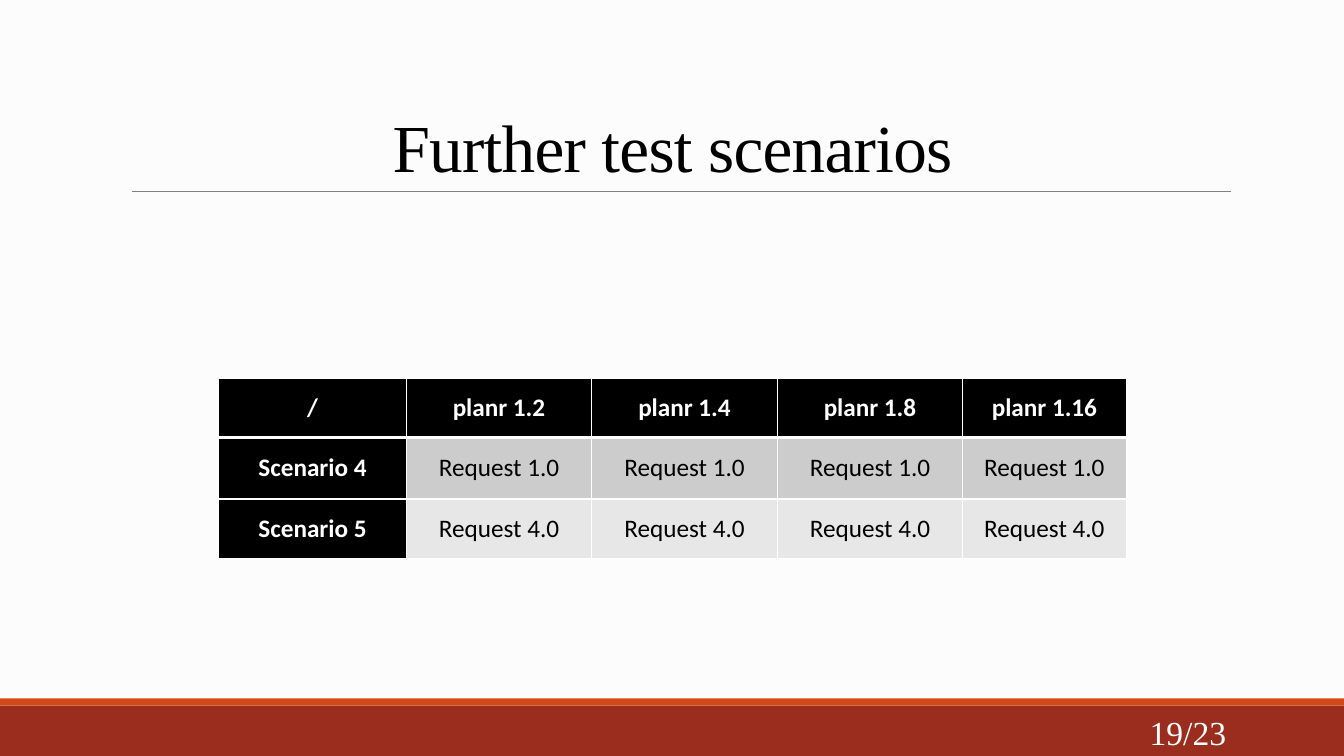
from lxml import etree
from pptx import Presentation
from pptx import util as u
from pptx.dml.color import RGBColor
from pptx.enum import shapes, text
from pptx.oxml import ns

BACKGROUND = RGBColor(0xFC, 0xFC, 0xFC)
BLACK = RGBColor(0, 0, 0)
WHITE = RGBColor(0xFF, 0xFF, 0xFF)
DARK_RED = RGBColor(0x9B, 0x2D, 0x1F)
ORANGE = RGBColor(0xD3, 0x48, 0x17)
GREY = RGBColor(0x80, 0x80, 0x80)
DARK_BAND = RGBColor(0xCC, 0xCC, 0xCC)
LIGHT_BAND = RGBColor(0xE7, 0xE7, 0xE7)

COLUMN_WIDTHS = [1.86, 1.84, 1.84, 1.84, 1.62]
ROW_HEIGHTS = [0.59, 0.61, 0.59]
SCENARIOS = [
    ["/", "planr 1.2", "planr 1.4", "planr 1.8", "planr 1.16"],
    ["Scenario 4"] + ["Request 1.0"] * 4,
    ["Scenario 5"] + ["Request 4.0"] * 4,
]
BAND_FILLS = [BLACK, DARK_BAND, LIGHT_BAND]


def write(frame, content, *, size, font, color=BLACK, bold=False,
          align=text.PP_ALIGN.CENTER, line_spacing=None, space=None, tracking=None):
    """Fill a text frame with one formatted paragraph."""
    paragraph = frame.paragraphs[0]
    paragraph.alignment = align
    if line_spacing:
        paragraph.line_spacing = line_spacing
    if space:
        paragraph.space_before = paragraph.space_after = u.Pt(space)
    run = paragraph.add_run()
    run.text = content
    run.font.size = u.Pt(size)
    run.font.name = font
    run.font.bold = bold
    run.font.color.rgb = color
    if tracking:
        run.font._element.set("spc", str(round(tracking * 100)))


class SlideBuilder:
    heading_font = "Times New Roman"
    table_font = "Calibri"

    def __init__(self, slide):
        self.slide = slide
        slide.background.fill.solid()
        slide.background.fill.fore_color.rgb = BACKGROUND

    def bar(self, left, top, width, height, color):
        shape = self.slide.shapes.add_shape(
            shapes.MSO_SHAPE.RECTANGLE, *map(u.Inches, (left, top, width, height)))
        shape.shadow.inherit = False
        shape.fill.solid()
        shape.fill.fore_color.rgb = color
        shape.line.fill.background()

    def rule(self, start_x, end_x, y):
        line = self.slide.shapes.add_connector(
            shapes.MSO_CONNECTOR.STRAIGHT, *map(u.Inches, (start_x, y, end_x, y)))
        line.line.color.rgb = GREY
        line.line.width = u.Pt(0.5)
        etree.SubElement(line._element.spPr, ns.qn("a:effectLst"))

    def label(self, left, top, width, height, content, anchor, **style):
        box = self.slide.shapes.add_textbox(*map(u.Inches, (left, top, width, height)))
        frame = box.text_frame
        frame.word_wrap = True
        frame.vertical_anchor = anchor
        write(frame, content, font=self.heading_font, **style)

    def border(self, cell, side, points):
        properties = cell._tc.get_or_add_tcPr()
        line = etree.SubElement(properties, ns.qn(f"a:ln{side}"), w=str(u.Pt(points)))
        fill = etree.SubElement(line, ns.qn("a:solidFill"))
        etree.SubElement(fill, ns.qn("a:srgbClr"), val=str(WHITE))

    def table(self, left, top, rows):
        table = self.slide.shapes.add_table(
            len(rows), len(rows[0]), u.Inches(left), u.Inches(top),
            u.Inches(sum(COLUMN_WIDTHS)), u.Inches(sum(ROW_HEIGHTS))).table
        for column, width in zip(table.columns, COLUMN_WIDTHS):
            column.width = u.Inches(width)
        for row, height in zip(table.rows, ROW_HEIGHTS):
            row.height = u.Inches(height)
        for row_index, row in enumerate(rows):
            for column_index, content in enumerate(row):
                self.cell(table.cell(row_index, column_index), content,
                          row_index, column_index)

    def cell(self, cell, content, row_index, column_index):
        is_header = row_index == 0 or column_index == 0
        cell.margin_left = cell.margin_right = u.Inches(0.07)
        cell.margin_top = cell.margin_bottom = 0
        cell.vertical_anchor = text.MSO_ANCHOR.MIDDLE
        # The line under the header row is thicker
        widths = {"L": 1, "R": 1, "T": 3 if row_index == 1 else 1,
                  "B": 3 if row_index == 0 else 1}
        for side, points in widths.items():
            self.border(cell, side, points)
        cell.fill.solid()
        cell.fill.fore_color.rgb = BLACK if is_header else BAND_FILLS[row_index]
        write(cell.text_frame, content, size=18, font=self.table_font,
              color=WHITE if is_header else BLACK, bold=is_header)


def main():
    presentation = Presentation()
    presentation.slide_width = u.Inches(13.33)
    presentation.slide_height = u.Inches(7.5)
    builder = SlideBuilder(presentation.slides.add_slide(presentation.slide_layouts[6]))

    # Footer bars and title rule
    builder.bar(0, 7, 13.33, 0.5, DARK_RED)
    builder.bar(0, 6.93, 13.33, 0.07, ORANGE)
    builder.rule(1.31, 12.21, 1.9)

    # Title and page number
    builder.label(1.17, 0.31, 11, 1.59, "Further test scenarios", text.MSO_ANCHOR.BOTTOM,
                  size=48, line_spacing=0.85, space=6, tracking=-0.5)
    builder.label(10.83, 7.06, 1.43, 0.4, "19/23", text.MSO_ANCHOR.MIDDLE,
                  size=24, color=WHITE, align=text.PP_ALIGN.RIGHT)

    # Scenario table
    builder.table(2.17, 3.75, SCENARIOS)

    presentation.save("out.pptx")


if __name__ == "__main__":
    main()
